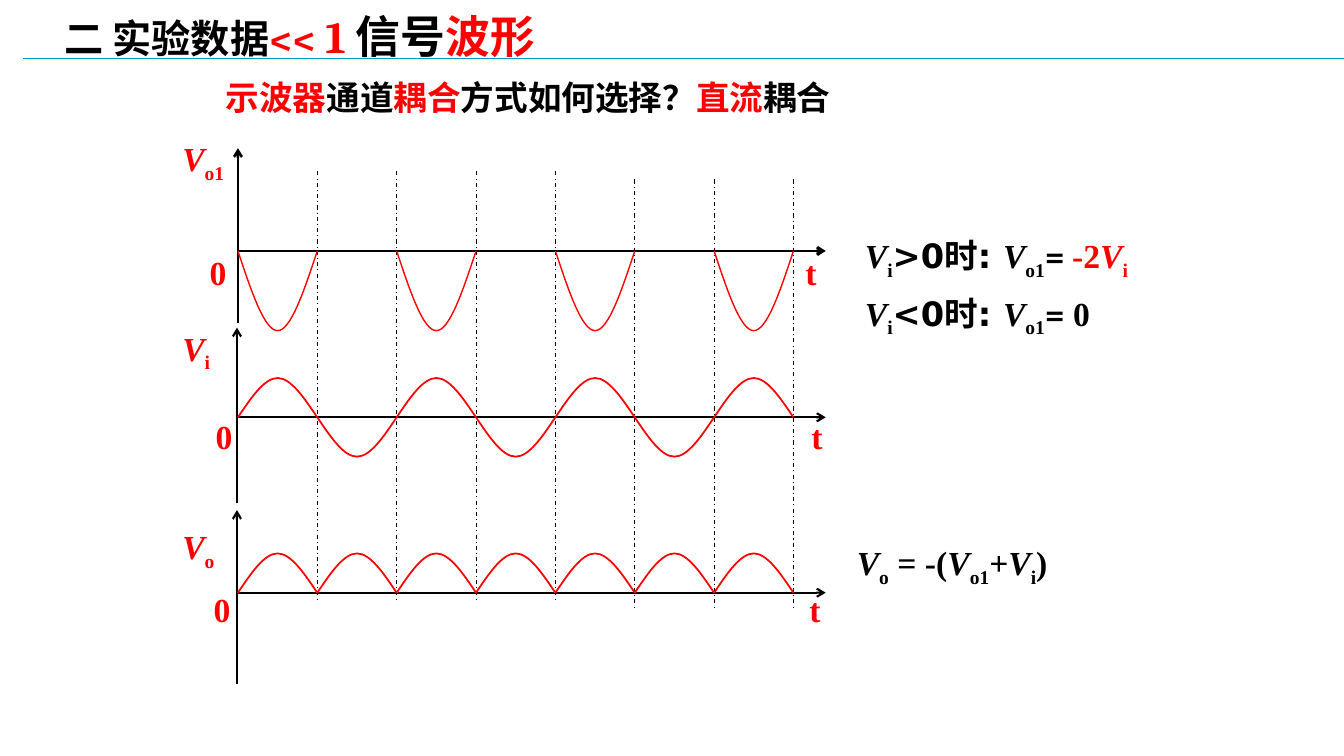
"""Build the slide on signal waveforms of a full-wave rectifier experiment."""
from lxml import etree
from pptx import Presentation
from pptx.dml.color import RGBColor
from pptx.enum.dml import MSO_LINE
from pptx.enum.shapes import MSO_CONNECTOR
from pptx.enum.text import MSO_ANCHOR, MSO_AUTO_SIZE, PP_ALIGN
from pptx.oxml.ns import qn
from pptx.util import Inches, Pt

STRAIGHT = MSO_CONNECTOR.STRAIGHT
DASH_DOT = MSO_LINE.DASH_DOT
TOP, BOTTOM = MSO_ANCHOR.TOP, MSO_ANCHOR.BOTTOM
NO_AUTOSIZE = MSO_AUTO_SIZE.NONE
LEFT = PP_ALIGN.LEFT
RED, BLACK, TEAL, WHITE = "FF0000", "000000", "0099CC", "FFFFFF"
HAN_FONT = "Noto Sans CJK SC"
FONTS = {"variable": "Times New Roman", "subscript": "Times New Roman",
         "number": "Times New Roman", "equals": "Cambria",
         "sign": "DejaVu Sans", "han": HAN_FONT}


def write_text(shape, box, paragraphs, spacing=1.0, anchor=TOP, tab=None):
    shape.left, shape.top, shape.width, shape.height = [Inches(v) for v in box]
    frame = shape.text_frame
    frame.word_wrap = True
    frame.auto_size = NO_AUTOSIZE
    frame.vertical_anchor = anchor
    for index, pieces in enumerate(paragraphs):
        paragraph = frame.add_paragraph() if index else frame.paragraphs[0]
        paragraph.alignment = LEFT
        paragraph.line_spacing = spacing
        if tab:
            tabs = etree.SubElement(paragraph._p.get_or_add_pPr(), qn("a:tabLst"))
            etree.SubElement(tabs, qn("a:tab"), pos=str(Inches(tab)), algn="l")
        for text, kind, color, size in pieces:
            run = paragraph.add_run()
            run.text = text
            font = run.font
            font.size = Pt(size)
            font.bold = True
            font.italic = kind == "variable"
            font.color.rgb = RGBColor.from_string(color)
            font.name = FONTS[kind]
            properties = run._r.get_or_add_rPr()
            etree.SubElement(properties, qn("a:ea")).set("typeface", HAN_FONT)
            if kind == "subscript":
                properties.set("baseline", "-25000")


def draw_line(start, end, width, color=BLACK, dash=None, arrow=False):
    ends = [Inches(v) for v in (*start, *end)]
    connector = slide.shapes.add_connector(STRAIGHT, *ends)
    connector.line.width = Pt(width)
    connector.line.color.rgb = RGBColor.from_string(color)
    if dash:
        connector.line.dash_style = dash
    if arrow:
        tail = etree.SubElement(connector.line._get_or_add_ln(), qn("a:tailEnd"))
        tail.set("type", "arrow")
    etree.SubElement(connector._element.spPr, qn("a:effectLst"))


presentation = Presentation()
presentation.slide_width = Inches(13.33)
presentation.slide_height = Inches(7.5)
slide = presentation.slides.add_slide(presentation.slide_layouts[5])

draw_line((0.23, 0.58), (13.33, 0.58), 1, TEAL)
title = slide.shapes.title
title.line.color.rgb = RGBColor.from_string(WHITE)
title.line.width = Pt(0.75)
write_text(title, (0.54, 0.03, 9.34, 0.64), [[
    ("二 实验数据", "han", BLACK, 28), ("<<", "equals", RED, 28),
    (" 1 ", "equals", RED, 32), ("信号", "han", BLACK, 32),
    ("波形", "han", RED, 32)]], anchor=BOTTOM)

question = [("示波器", RED), ("通道", BLACK), ("耦合", RED),
            ("方式如何选择？", BLACK), ("直流", RED), ("耦合", BLACK)]
write_text(slide.shapes.add_textbox(0, 0, 0, 0), (2.14, 0.63, 6.86, 0.55),
           [[(text, "han", color, 24) for text, color in question]], 1.2)

origin, last_crossing, half_count = 2.36, 7.87, 7
half_period = (last_crossing - origin) / half_count
for number in range(1, half_count + 1):
    x = origin + number * half_period
    top = 1.7 if number <= 4 else 1.78
    draw_line((x, top), (x, top + 4.26), 0.75, dash=DASH_DOT)

waveforms = [
    ("o1", 2.49, (2.36, 3.2, 1.47, 1.75), 2, 1, [-0.79, 0] * 3 + [-0.79],
     (1.71, 1.32, 0.81, 0.5), (1.98, 2.45)),
    ("i", 4.14, (2.35, 4.99, 3.25, 1.5), 1.5, 1.25, [0.39, -0.39] * 3 + [0.39],
     (1.71, 3.2, 0.66, 0.5), (2.04, 4.08)),
    ("o", 5.88, (2.35, 6.79, 5.06, 1.5), 1.5, 1.25, [0.39] * 7,
     (1.71, 5.17, 0.81, 0.5), (2.02, 5.79)),
]
curve_rises = [0.5, 1, 1, 1, 0.5, 0]
for name, zero, axis, time_width, curve_width, lobes, label_box, mark in waveforms:
    axis_x, bottom, top, axis_width = axis
    draw_line((axis_x, bottom), (axis_x, top), axis_width, arrow=True)
    draw_line((origin, zero), (8.19, zero), time_width, arrow=True)
    for number, height in enumerate(lobes):
        if not height:
            continue
        start = origin + number * half_period
        builder = slide.shapes.build_freeform(Inches(start), Inches(zero))
        builder.add_line_segments(
            [(Inches(start + half_period * step / 6), Inches(zero - height * rise))
             for step, rise in enumerate(curve_rises, 1)], close=False)
        lobe = builder.convert_to_shape()
        outline = next(lobe._element.iter(qn("a:path")))
        segments = outline.findall(qn("a:lnTo"))
        for first in (0, 3):
            curve = etree.SubElement(outline, qn("a:cubicBezTo"))
            for segment in segments[first:first + 3]:
                curve.append(segment[0])
                outline.remove(segment)
        lobe.shadow.inherit = False
        lobe.fill.background()
        lobe.line.color.rgb = RGBColor.from_string(RED)
        lobe.line.width = Pt(curve_width)
    write_text(slide.shapes.add_textbox(0, 0, 0, 0), label_box,
               [[("V", "variable", RED, 24), (name, "subscript", RED, 24)]])
    write_text(slide.shapes.add_textbox(0, 0, 0, 0), (*mark, 7.27, 0.5),
               [[("0\tt", "number", RED, 24)]], tab=5.91)

v_in = [("V", "variable", BLACK, 24), ("i", "subscript", BLACK, 24)]
v_o1 = [("V", "variable", BLACK, 24), ("o1", "subscript", BLACK, 24)]
positive = [*v_in, (">0时: ", "sign", BLACK, 24), *v_o1,
            ("= ", "equals", BLACK, 24), ("-2", "number", RED, 24),
            ("V", "variable", RED, 24), ("i", "subscript", RED, 24)]
negative = [*v_in, ("<0时: ", "sign", BLACK, 24), *v_o1,
            ("=", "equals", BLACK, 24), (" 0", "number", BLACK, 24)]
write_text(slide.shapes.add_textbox(0, 0, 0, 0), (8.48, 2.17, 2.88, 1.11),
           [positive, negative], 1.25)

output = [("V", "variable", BLACK, 24), ("o", "subscript", BLACK, 24),
          (" = -(", "number", BLACK, 24), *v_o1, ("+", "number", BLACK, 24),
          *v_in, (")", "number", BLACK, 24)]
write_text(slide.shapes.add_textbox(0, 0, 0, 0), (8.4, 5.33, 2.13, 0.5), [output])

presentation.save("out.pptx")
